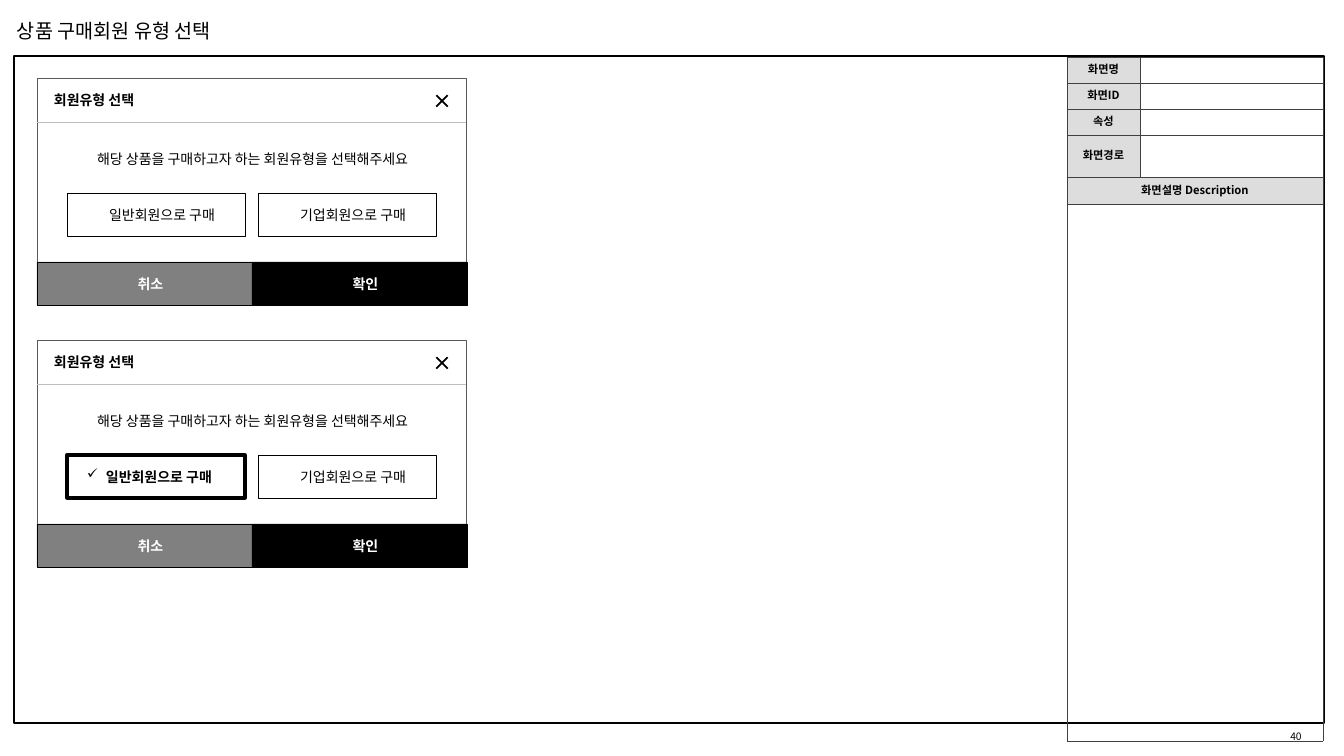
"""Builds the member type selection screen of a shop storyboard."""
from lxml import etree
from pptx import Presentation
from pptx.dml.color import RGBColor
from pptx.enum.shapes import MSO_CONNECTOR, MSO_SHAPE
from pptx.enum.text import MSO_ANCHOR, PP_ALIGN
from pptx.oxml.ns import qn
from pptx.util import Emu, Pt

RECT, ROUNDED, CROSS = MSO_SHAPE.RECTANGLE, MSO_SHAPE.ROUNDED_RECTANGLE, MSO_SHAPE.CROSS
STRAIGHT = MSO_CONNECTOR.STRAIGHT
LEFT, CENTER = PP_ALIGN.LEFT, PP_ALIGN.CENTER
TOP, MIDDLE = MSO_ANCHOR.TOP, MSO_ANCHOR.MIDDLE
BLACK = RGBColor(0x00, 0x00, 0x00)
WHITE = RGBColor(0xFF, 0xFF, 0xFF)
GRAY = RGBColor(0x80, 0x80, 0x80)
DARK = RGBColor(0x59, 0x59, 0x59)
RULE = RGBColor(0xBF, 0xBF, 0xBF)
LABEL_FILL = RGBColor(0xDD, 0xDD, 0xDD)
GRID = "404040"
FONT = "Noto Sans CJK KR"
EMU_PER_PX = 914400 / 100.8

TITLE = "상품 구매회원 유형 선택"
PAGE_NUMBER = "40"
SPEC_ROWS = [("화면명", 26), ("화면ID", 26), ("속성", 26), ("화면경로", 42),
             ("화면설명 Description", 27), ("", 537)]
SPEC_COLUMNS = [73, 183]
MERGED_FROM = 4
DIALOG_TITLE = "회원유형 선택"
MESSAGE = "해당 상품을 구매하고자 하는 회원유형을 선택해주세요"
OPTIONS = ["일반회원으로 구매", "기업회원으로 구매"]
ACTIONS = [("취소", GRAY), ("확인", BLACK)]
DIALOGS = [(78, None), (340, 0)]


def px(value):
    return Emu(round(value * EMU_PER_PX))


def write(frame, text, size=10, color=BLACK, bold=False, align=CENTER, anchor=MIDDLE,
          margins=(12, 5, 0, 5), spacing=None, wrap=True, bullet=None):
    frame.word_wrap = wrap
    frame.vertical_anchor = anchor
    frame.margin_left, frame.margin_top, frame.margin_right, frame.margin_bottom = map(px, margins)
    para = frame.paragraphs[0]
    para.alignment = align
    if spacing:
        para.line_spacing = spacing
    if bullet:
        properties = para._p.get_or_add_pPr()
        properties.set("marL", str(px(19)))
        properties.set("indent", str(-px(19)))
        etree.SubElement(properties, qn("a:buChar"), char=bullet)
    span = para.add_run()
    span.text = text
    span.font.size = Pt(size)
    span.font.bold = bold
    span.font.color.rgb = color
    span.font.name = FONT
    etree.SubElement(span.font._element, qn("a:ea"), typeface=FONT)


def add_box(page, kind, left, top, width, height, fill=None, line=None, weight=0.25, adjust=0):
    box = page.shapes.add_shape(kind, px(left), px(top), px(width), px(height))
    box.shadow.inherit = False
    if kind != RECT:
        box.adjustments[0] = adjust
    if fill is None:
        box.fill.background()
    else:
        box.fill.solid()
        box.fill.fore_color.rgb = fill
    if line is None:
        box.line.fill.background()
    else:
        box.line.color.rgb = line
        box.line.width = Pt(weight)
    return box


def add_label(page, left, top, width, height, text, **style):
    label = page.shapes.add_textbox(px(left), px(top), px(width), px(height))
    write(label.text_frame, text, **style)


def outline_cell(cell):
    properties = cell._tc.get_or_add_tcPr()
    for index, side in enumerate(("lnL", "lnR", "lnT", "lnB")):
        border = etree.Element(qn(f"a:{side}"), w=str(Pt(0.5)))
        fill = etree.SubElement(border, qn("a:solidFill"))
        etree.SubElement(fill, qn("a:srgbClr"), val=GRID)
        properties.insert(index, border)


def add_spec_table(page):
    heights = [height for _, height in SPEC_ROWS]
    table = page.shapes.add_table(len(heights), len(SPEC_COLUMNS), px(1067), px(57),
                                  px(sum(SPEC_COLUMNS)), px(sum(heights))).table
    table.first_row = table.horz_banding = False
    for column, width in zip(table.columns, SPEC_COLUMNS):
        column.width = px(width)
    for index, (label, height) in enumerate(SPEC_ROWS):
        table.rows[index].height = px(height)
        label_cell, value_cell = table.cell(index, 0), table.cell(index, 1)
        if index >= MERGED_FROM:
            label_cell.merge(value_cell)
        for cell, text in ((label_cell, label), (value_cell, "")):
            cell.margin_left = cell.margin_top = cell.margin_right = cell.margin_bottom = px(4)
            if text:
                cell.fill.solid()
                cell.fill.fore_color.rgb = LABEL_FILL
                write(cell.text_frame, text, size=8, bold=True, margins=(4, 4, 4, 4), spacing=0.8)
                cell.vertical_anchor = MIDDLE
            else:
                cell.fill.background()
                etree.SubElement(cell.text_frame.paragraphs[0]._p, qn("a:endParaRPr"), sz="800")
            outline_cell(cell)


def add_dialog(page, top, selected):
    add_box(page, ROUNDED, 37, top, 429, 199, WHITE, DARK)
    close = add_box(page, CROSS, 434, top + 15, 16, 16, BLACK, adjust=0.446)
    close.rotation = 45
    for index, (text, fill) in enumerate(ACTIONS):
        button = add_box(page, ROUNDED, 37 + 215 * index, top + 184, 215, 43, fill, BLACK)
        write(button.text_frame, text, color=WHITE, bold=True)
    message = add_box(page, ROUNDED, 39, top + 49, 427, 55)
    write(message.text_frame, MESSAGE, margins=(0, 5, 0, 5), spacing=1.5)
    for index, text in enumerate(OPTIONS):
        chosen = index == selected
        option = add_box(page, ROUNDED, 67 + 191 * index, top + 115, 178, 43, WHITE, BLACK,
                         weight=2.25 if chosen else 0.25)
        if chosen:
            write(option.text_frame, text, bold=True, align=LEFT, margins=(20, 5, 0, 5), bullet="✓")
        else:
            write(option.text_frame, text)
    add_label(page, 44, top + 9, 112, 27, DIALOG_TITLE, bold=True, align=LEFT, anchor=TOP,
              margins=(10, 5, 10, 5), wrap=False)
    rule = page.shapes.add_connector(STRAIGHT, px(37), px(top + 44), px(466), px(top + 44))
    rule.line.color.rgb = RULE
    rule.line.width = Pt(0.5)
    etree.SubElement(rule._element.spPr, qn("a:effectLst"))


def main():
    deck = Presentation()
    deck.slide_width, deck.slide_height = px(1344), px(756)
    page = deck.slides.add_slide(deck.slide_layouts[6])
    add_box(page, RECT, 14, 56, 1310, 667, line=BLACK, weight=1.3)
    add_label(page, 1261, 717, 70, 39, PAGE_NUMBER, size=7.3, margins=(8, 4, 8, 4))
    add_spec_table(page)
    add_label(page, 7, 14, 231, 34, TITLE, size=14, align=LEFT, anchor=TOP,
              margins=(10, 5, 10, 5), wrap=False)
    for top, selected in DIALOGS:
        add_dialog(page, top, selected)
    deck.save("out.pptx")


if __name__ == "__main__":
    main()
